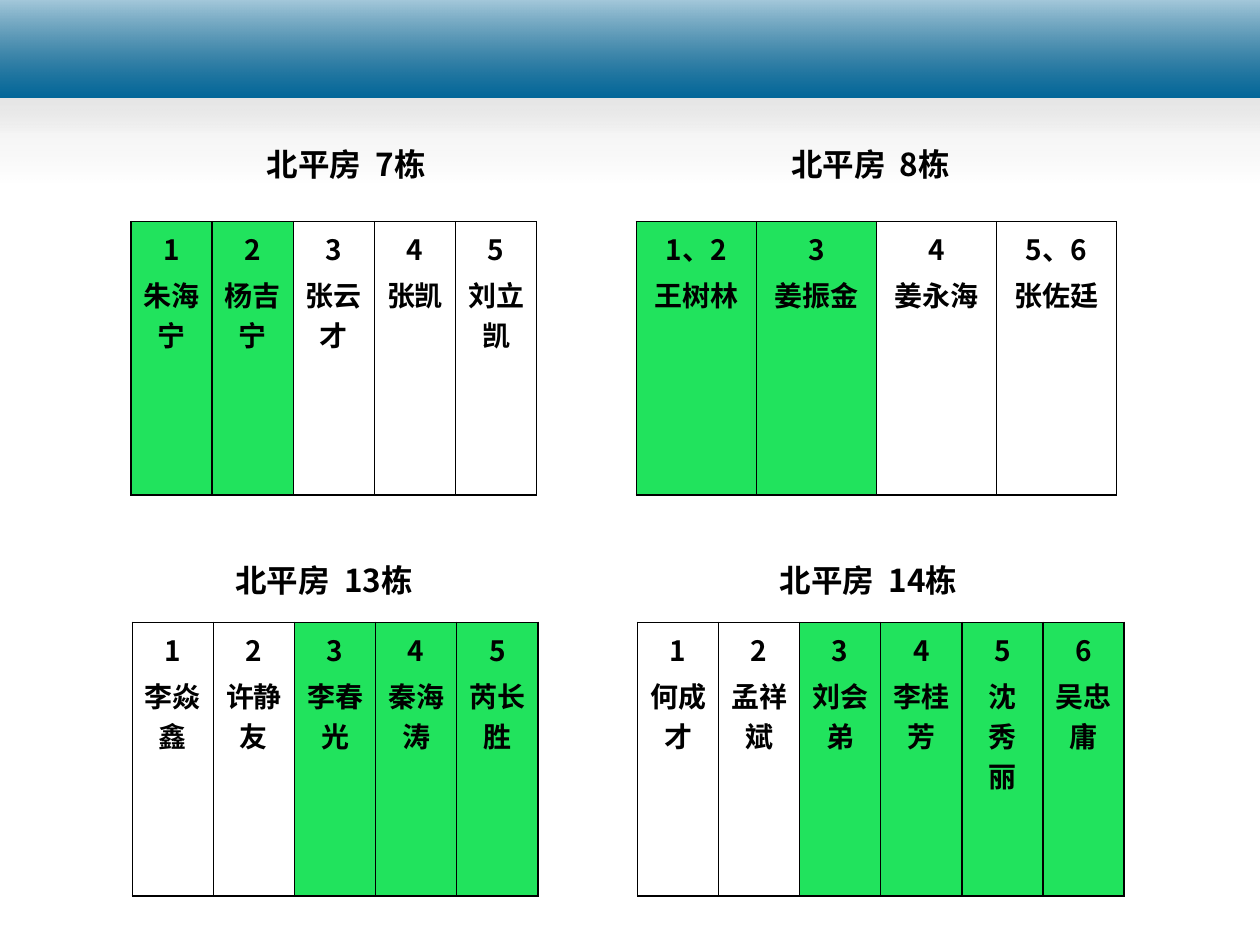
from lxml import etree
from pptx import Presentation
from pptx.dml.color import RGBColor
from pptx.enum.shapes import MSO_SHAPE
from pptx.enum.text import MSO_ANCHOR, PP_ALIGN
from pptx.oxml.ns import qn
from pptx.util import Inches, Pt

RECTANGLE = MSO_SHAPE.RECTANGLE
MIDDLE = MSO_ANCHOR.MIDDLE
CENTER = PP_ALIGN.CENTER
FONT = "Noto Sans CJK SC"
BLACK, WHITE, GREEN = "000000", "FFFFFF", "21E35D"
SLIDE_WIDTH, SLIDE_HEIGHT = 10, 7.5
TITLE_HEIGHT, TABLE_HEIGHT = 0.4, 2.17
TITLE_TOPS = (1.1, 4.4)
TABLE_TOPS = (1.76, 4.94)
CELL_MARGIN, NARROW_MARGIN = 0.09, 0.14

SHADE = (("FFFFFF", 65), ("B6B6B6", 0))
BLUE = (("006699", 100), ("006597", 100))
BANDS = [(1.05, SHADE), (1.05, SHADE), (1.45, SHADE), (0.78, BLUE), (0.78, SHADE)]

BUILDINGS = [
    {"title": "北平房  7栋", "row": 0, "title_left": 2.02, "title_width": 1.66,
     "left": 1.04, "width": 3.22, "green": {"1", "2"},
     "rooms": [("1", "朱海宁"), ("2", "杨吉宁"), ("3", "张云才"), ("4", "张凯"), ("5", "刘立凯")]},
    {"title": "北平房  8栋", "row": 0, "title_left": 6.18, "title_width": 1.66,
     "left": 5.05, "width": 3.81, "green": {"1、2", "3"},
     "rooms": [("1、2", "王树林"), ("3", "姜振金"), ("4", "姜永海"), ("5、6", "张佐廷")]},
    {"title": "北平房  13栋", "row": 1, "title_left": 1.77, "title_width": 1.73,
     "left": 1.05, "width": 3.22, "green": {"3", "4", "5"},
     "rooms": [("1", "李焱鑫"), ("2", "许静友"), ("3", "李春光"), ("4", "秦海涛"), ("5", "芮长胜")]},
    {"title": "北平房  14栋", "row": 1, "title_left": 6.09, "title_width": 1.75,
     "left": 5.06, "width": 3.86, "green": {"3", "4", "5", "6"},
     "rooms": [("1", "何成才"), ("2", "孟祥斌"), ("3", "刘会弟"), ("4", "李桂芳"),
               ("5", "沈秀丽"), ("6", "吴忠庸")]},
]
NARROW_NAMES = {"沈秀丽"}


def color(value):
    return RGBColor.from_string(value)


def add_band(slide, height, stops):
    shape = slide.shapes.add_shape(RECTANGLE, 0, 0, Inches(SLIDE_WIDTH), Inches(height))
    shape.shadow.inherit = False
    shape.line.fill.background()
    shape.fill.gradient()
    shape.fill.gradient_angle = 270
    for stop, (value, opacity) in zip(shape.fill.gradient_stops, stops):
        stop.color.rgb = color(value)
    for element, (value, opacity) in zip(shape._element.iter(qn("a:srgbClr")), stops):
        if opacity < 100:
            etree.SubElement(element, qn("a:alpha"), val=str(opacity * 1000))


def write(paragraph, text, size):
    run = paragraph.add_run()
    run.text = text
    paragraph.font.size = Pt(size)
    for font in (paragraph.font, run.font):
        font.name = FONT
        font.bold = True
        font.color.rgb = color(BLACK)
    run.font.size = Pt(size)
    etree.SubElement(run.font._element, qn("a:ea"), typeface=FONT)


def add_title(slide, building):
    box = slide.shapes.add_textbox(
        Inches(building["title_left"]), Inches(TITLE_TOPS[building["row"]]),
        Inches(building["title_width"]), Inches(TITLE_HEIGHT))
    frame = box.text_frame
    frame.word_wrap = False
    frame.vertical_anchor = MIDDLE
    write(frame.paragraphs[0], building["title"], 18)


def add_borders(cell):
    properties = cell._tc.get_or_add_tcPr()
    for index, side in enumerate(("a:lnL", "a:lnR", "a:lnT", "a:lnB")):
        line = etree.Element(qn(side), w=str(Pt(1)))
        fill = etree.SubElement(line, qn("a:solidFill"))
        etree.SubElement(fill, qn("a:srgbClr"), val=BLACK)
        properties.insert(index, line)


def fill_room(cell, number, name, background):
    margin = NARROW_MARGIN if name in NARROW_NAMES else CELL_MARGIN
    cell.margin_left = cell.margin_right = Inches(margin)
    cell.fill.solid()
    cell.fill.fore_color.rgb = color(background)
    add_borders(cell)
    frame = cell.text_frame
    number_paragraph, name_paragraph = frame.paragraphs[0], frame.add_paragraph()
    name_paragraph.space_before = Pt(3.2)
    for paragraph, text in ((number_paragraph, number), (name_paragraph, name)):
        paragraph.alignment = CENTER
        write(paragraph, text, 16)


def add_rooms(slide, building):
    rooms = building["rooms"]
    table = slide.shapes.add_table(
        1, len(rooms), Inches(building["left"]), Inches(TABLE_TOPS[building["row"]]),
        Inches(building["width"]), Inches(TABLE_HEIGHT)).table
    table.first_row = table.horz_banding = False
    for index, (number, name) in enumerate(rooms):
        table.columns[index].width = Inches(building["width"] / len(rooms))
        background = GREEN if number in building["green"] else WHITE
        fill_room(table.cell(0, index), number, name, background)


def main():
    presentation = Presentation()
    presentation.slide_width = Inches(SLIDE_WIDTH)
    presentation.slide_height = Inches(SLIDE_HEIGHT)
    slide = presentation.slides.add_slide(presentation.slide_layouts[6])
    for height, stops in BANDS:
        add_band(slide, height, stops)
    for building in BUILDINGS:
        add_title(slide, building)
        add_rooms(slide, building)
    presentation.save("out.pptx")


if __name__ == "__main__":
    main()
